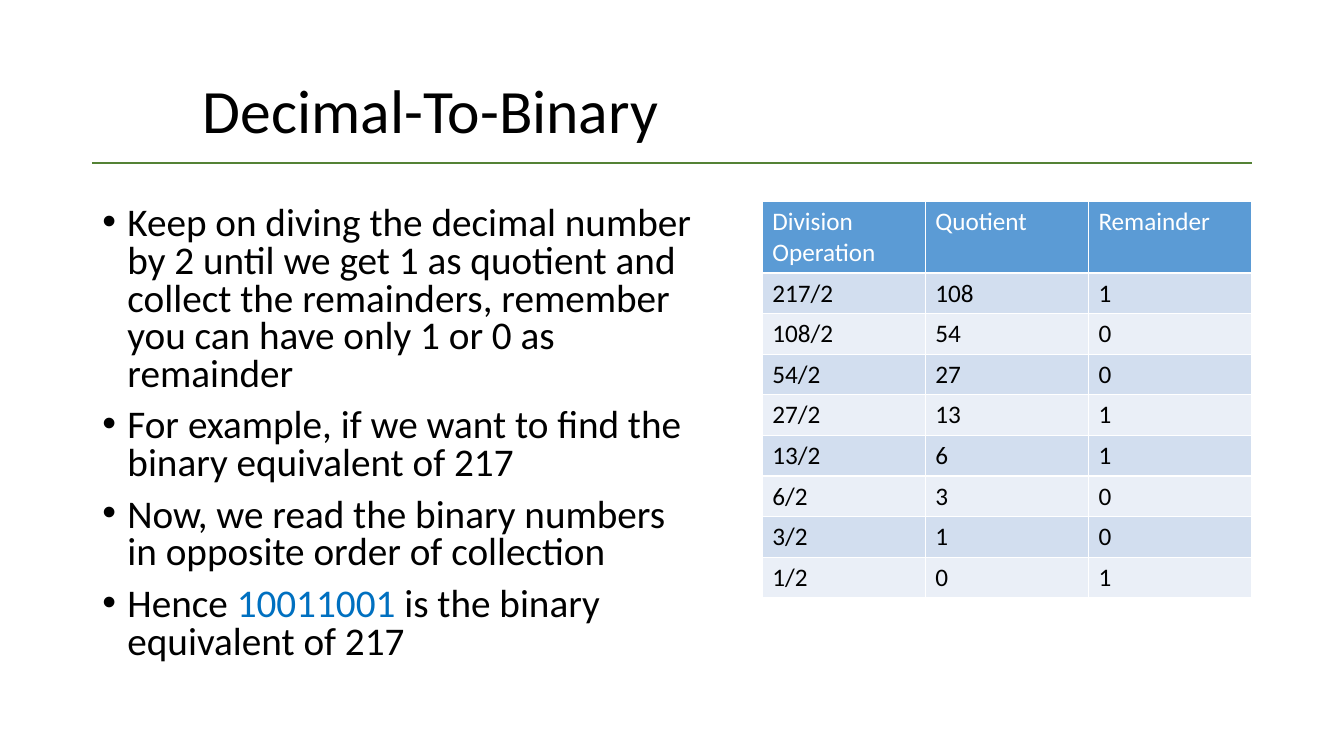
import lxml.etree
import pptx
import pptx.dml.color
import pptx.enum.shapes
import pptx.enum.text
import pptx.oxml
import pptx.oxml.ns
import pptx.util

PX = 6350
FONT = "Calibri"
BLACK = pptx.dml.color.RGBColor(0x00, 0x00, 0x00)
WHITE = pptx.dml.color.RGBColor(0xFF, 0xFF, 0xFF)
GREEN = pptx.dml.color.RGBColor(0x54, 0x82, 0x35)
ANSWER_BLUE = pptx.dml.color.RGBColor(0x00, 0x70, 0xC0)
HEADER_BLUE = pptx.dml.color.RGBColor(0x5B, 0x9B, 0xD5)
BANDS = (
    pptx.dml.color.RGBColor(0xD2, 0xDE, 0xEF),
    pptx.dml.color.RGBColor(0xEA, 0xEF, 0xF7),
)

BULLETS = [
    [("Keep on diving the decimal number by 2 until we get 1 as quotient and "
      "collect the remainders, remember you can have only 1 or 0 as remainder", BLACK)],
    [("For example, if we want to find the binary equivalent of 217", BLACK)],
    [("Now, we read the binary numbers in opposite order of collection", BLACK)],
    [("Hence ", BLACK), ("10011001 ", ANSWER_BLUE),
     ("is the binary equivalent of 217", BLACK)],
]
DIVISIONS = [
    ("Division Operation", "Quotient", "Remainder"),
    ("217/2", "108", "1"),
    ("108/2", "54", "0"),
    ("54/2", "27", "0"),
    ("27/2", "13", "1"),
    ("13/2", "6", "1"),
    ("6/2", "3", "0"),
    ("3/2", "1", "0"),
    ("1/2", "0", "1"),
]


def px(*lengths):
    """Turn px lengths into EMU."""
    return [pptx.util.Emu(length * PX) for length in lengths]


def add_run(paragraph, text, size, color):
    """Append one formatted run."""
    run = paragraph.add_run()
    run.text = text
    run.font.name = FONT
    run.font.size = pptx.util.Pt(size)
    run.font.bold = False
    run.font.color.rgb = color


def add_text_frame(slide, left, top, width, height):
    """Add a wrapping text box and return its frame."""
    frame = slide.shapes.add_textbox(*px(left, top, width, height)).text_frame
    frame.word_wrap = True
    return frame


def add_title(slide, left, top, width, height):
    """Place the indented title and the rule across it."""
    rule_y = top + 175
    rule = slide.shapes.add_connector(
        pptx.enum.shapes.MSO_CONNECTOR.STRAIGHT, *px(left, rule_y, left + width, rule_y))
    rule.line.color.rgb = GREEN
    rule.line.width = pptx.util.Pt(2)
    lxml.etree.SubElement(rule._element.spPr, pptx.oxml.ns.qn("a:effectLst"))

    frame = add_text_frame(slide, left, top, width, height)
    frame.margin_left = px(158)[0]
    frame.vertical_anchor = pptx.enum.text.MSO_ANCHOR.MIDDLE
    paragraph = frame.paragraphs[0]
    paragraph.line_spacing = 0.9
    add_run(paragraph, "Decimal-To-Binary", 44, BLACK)


def add_bullets(slide, left, top, width, height):
    """Place the bulleted explanation."""
    frame = add_text_frame(slide, left, top, width, height)
    for index, runs in enumerate(BULLETS):
        paragraph = frame.add_paragraph() if index else frame.paragraphs[0]
        paragraph.line_spacing = 0.8
        paragraph.space_before = pptx.util.Pt(10)
        properties = paragraph._p.get_or_add_pPr()
        indent = px(36)[0]
        properties.set("marL", str(indent))
        properties.set("indent", str(-indent))
        for tag, name, value in (("a:buFont", "typeface", "Arial"), ("a:buChar", "char", "•")):
            lxml.etree.SubElement(properties, pptx.oxml.ns.qn(tag)).set(name, value)
        for text, color in runs:
            add_run(paragraph, text, 28, color)


def add_division_table(slide, left, top, width, header_height, row_height):
    """Place the table of repeated divisions by two."""
    row_count, column_count = len(DIVISIONS), len(DIVISIONS[0])
    height = header_height + row_height * (row_count - 1)
    table = slide.shapes.add_table(
        row_count, column_count, *px(left, top, width, height)).table
    for column in table.columns:
        column.width = px(width // column_count)[0]
    for row_index, values in enumerate(DIVISIONS):
        is_header = row_index == 0
        table.rows[row_index].height = px(header_height if is_header else row_height)[0]
        for column_index, value in enumerate(values):
            cell = table.cell(row_index, column_index)
            cell.fill.solid()
            cell.fill.fore_color.rgb = HEADER_BLUE if is_header else BANDS[(row_index - 1) % 2]
            add_run(cell.text_frame.paragraphs[0], value, 18, WHITE if is_header else BLACK)


def main():
    """Build and save the slide."""
    presentation = pptx.Presentation()
    presentation.slide_width, presentation.slide_height = px(1920, 1080)
    slide = presentation.slides.add_slide(presentation.slide_layouts[6])
    add_title(slide, 132, 58, 1656, 209)
    add_bullets(slide, 132, 288, 876, 685)
    add_division_table(slide, 1089, 288, 699, 102, 58)
    presentation.save("out.pptx")


if __name__ == "__main__":
    main()
